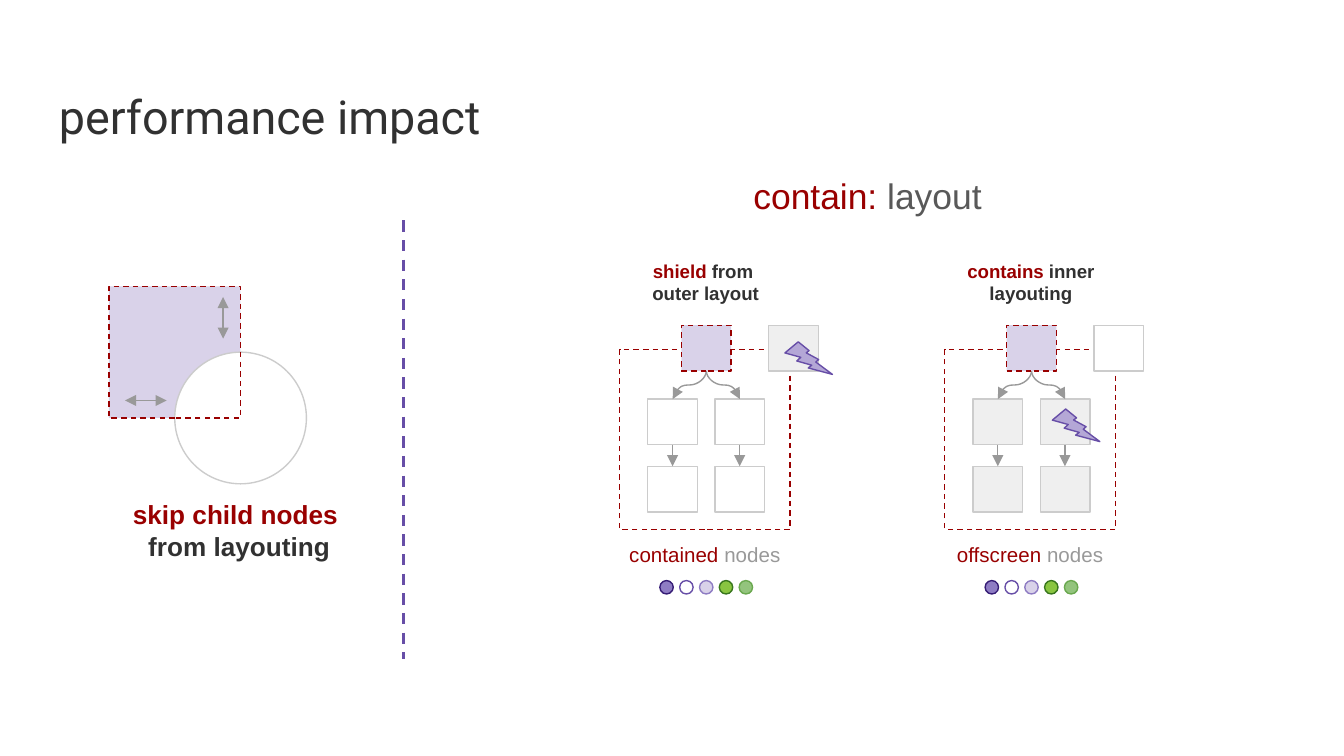
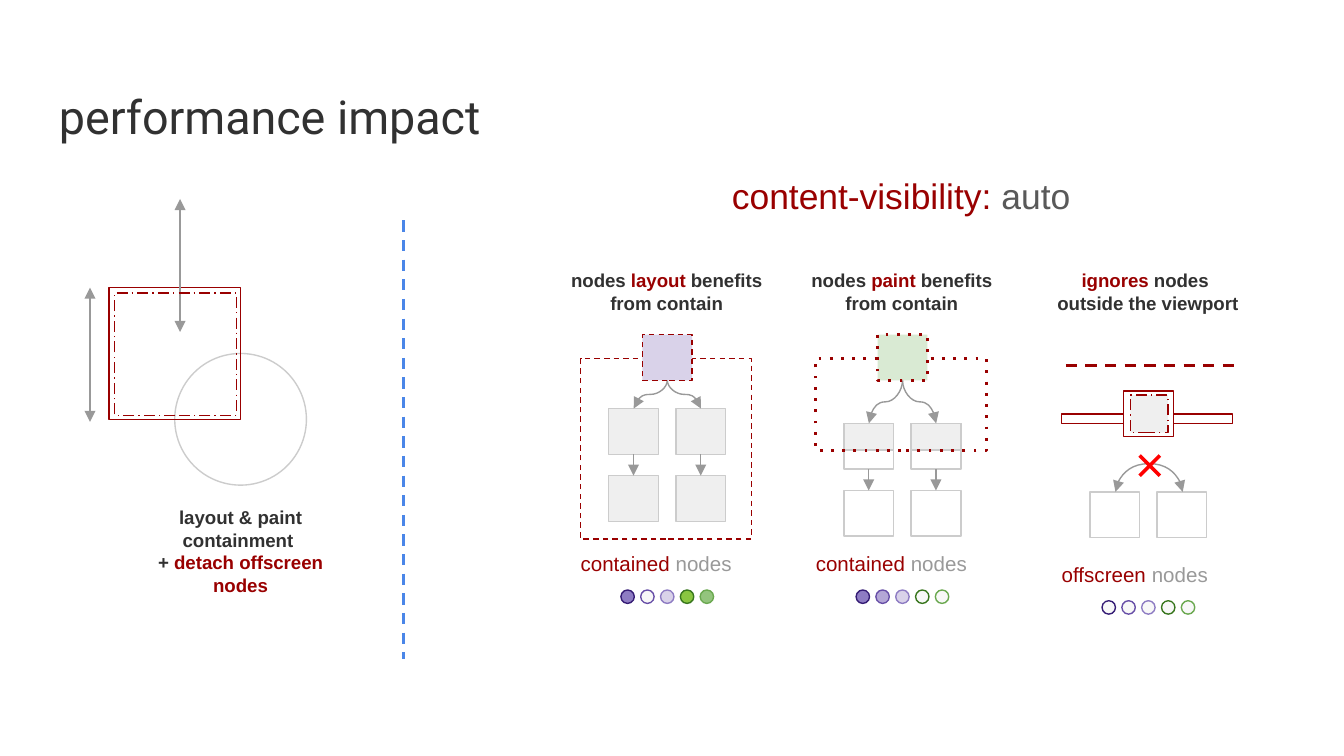
"""Two slides on the performance impact of CSS containment."""
from lxml import etree
from pptx import Presentation
from pptx import util as u
from pptx.dml.color import RGBColor
from pptx.enum import shapes, text
from pptx.oxml.ns import qn

INK = RGBColor(0x31, 0x31, 0x31)
RED = RGBColor(0x99, 0x00, 0x00)
CROSS = RGBColor(0xFF, 0x00, 0x00)
GREY = RGBColor(0x99, 0x99, 0x99)
DARK = RGBColor(0x59, 0x59, 0x59)
EDGE = RGBColor(0xCC, 0xCC, 0xCC)
SHADE = RGBColor(0xEF, 0xEF, 0xEF)
PALE = RGBColor(0xF8, 0xF8, 0xF8)
WHITE = RGBColor(0xFF, 0xFF, 0xFF)
LILAC = RGBColor(0xD9, 0xD2, 0xE9)
MAUVE = RGBColor(0xB4, 0xA7, 0xD6)
VIOLET = RGBColor(0x8E, 0x7C, 0xC3)
PURPLE = RGBColor(0x67, 0x4E, 0xA7)
INDIGO = RGBColor(0x35, 0x1C, 0x75)
BLUE = RGBColor(0x4A, 0x86, 0xE8)
MINT = RGBColor(0xD9, 0xEA, 0xD3)
LIME = RGBColor(0x89, 0xC5, 0x40)
LEAF = RGBColor(0x93, 0xC4, 0x7D)
GREEN = RGBColor(0x6A, 0xA8, 0x4F)
FOREST = RGBColor(0x38, 0x76, 0x1D)

SLIDE_W = 10
SLIDE_H = SLIDE_W * 9 / 16
TITLE = "performance impact"
DOTS = [(VIOLET, INDIGO), (MAUVE, PURPLE), (LILAC, VIOLET), (LIME, FOREST), (LEAF, GREEN)]
DOT, DOT_STEP = 0.1, 0.59 / 4
NODE_W, NODE_H = 0.37, 0.34
FRAME_W, FRAME_H = 1.27, 1.34
NODE_COLS = (0.21, 0.71)
ROOT_COL, ROOT_ROW, SIBLING_COL = 0.46, -0.18, 1.11
ROW_STEP = 0.5
SQUARE = 0.98

LAYOUT_TREES = [
    dict(x=4.61, head=[[("shield ", RED), ("from \nouter layout", INK)]],
         label="contained", nodes=WHITE, sibling=SHADE, bolt=(1.25, -0.07)),
    dict(x=7.03, head=[[("contains ", RED), ("inner layouting", INK)]],
         label="offscreen", nodes=SHADE, sibling=WHITE, bolt=(0.82, 0.43)),
]
AUTO_COLUMNS = [
    dict(x=4.32, label="contained", dots="10111",
         head=[[("nodes ", INK), ("layout ", RED), ("benefits", INK)], [("from contain", INK)]]),
    dict(x=6.07, label="contained", dots="11100",
         head=[[("nodes ", INK), ("paint ", RED), ("benefits", INK)], [("from contain", INK)]]),
    dict(x=7.9, label="offscreen", dots="00000", drop=0.08,
         head=[[("ignores ", RED), ("nodes ", INK)], [("outside the viewport", INK)]]),
]


def style_line(sp, color, width=0.75, dash=None, ends=()):
    sp.line.color.rgb = color
    sp.line.width = u.Pt(width)
    ln = sp._element.spPr.find(qn("a:ln"))
    if dash:
        etree.SubElement(ln, qn("a:prstDash"), val=dash)
    for end in ends:
        etree.SubElement(ln, qn(f"a:{end}End"), type="triangle")


def add_box(s, x, y, w, h, fill=None, line=None, kind="RECTANGLE", rot=0, **stroke):
    sp = s.shapes.add_shape(getattr(shapes.MSO_SHAPE, kind), *map(u.Inches, (x, y, w, h)))
    sp.shadow.inherit = False
    sp.rotation = rot
    if fill is None:
        sp.fill.background()
    else:
        sp.fill.solid()
        sp.fill.fore_color.rgb = fill
    if line is None:
        sp.line.fill.background()
    else:
        style_line(sp, line, **stroke)
    return sp


def add_line(s, x1, y1, x2, y2, color=GREY, kind="STRAIGHT", **stroke):
    c = s.shapes.add_connector(getattr(shapes.MSO_CONNECTOR, kind), *map(u.Inches, (x1, y1, x2, y2)))
    style_line(c, color, **stroke)
    etree.SubElement(c._element.spPr, qn("a:effectLst"))
    return c


def add_down_curve(s, x1, y1, x2, y2):
    cx, cy = (x1 + x2) / 2, (y1 + y2) / 2
    half_w, half_h = (y2 - y1) / 2, abs(x2 - x1) / 2
    left = x2 < x1
    if not left:
        half_w = -half_w
    c = add_line(s, cx - half_w, cy - half_h, cx + half_w, cy + half_h, kind="CURVE", ends=["tail"])
    c._element.spPr.find(qn("a:xfrm")).set("rot", str((90 if left else 270) * 60000))


def add_text(s, x, y, w, h, paras, size, font="Arial", bold=False, center=True, inset=0):
    tf = s.shapes.add_textbox(*map(u.Inches, (x, y, w, h))).text_frame
    tf.word_wrap = True
    tf.margin_left = tf.margin_right = tf.margin_top = tf.margin_bottom = u.Inches(inset)
    tf.vertical_anchor = text.MSO_ANCHOR.TOP if inset else text.MSO_ANCHOR.MIDDLE
    for i, runs in enumerate(paras):
        p = tf.add_paragraph() if i else tf.paragraphs[0]
        p.alignment = text.PP_ALIGN.CENTER if center else text.PP_ALIGN.LEFT
        if inset:
            p.line_spacing, p.space_after = 1.15, u.Pt(12)
        for words, color in runs:
            for j, part in enumerate(words.split("\n")):
                if j:
                    p.add_line_break()
                if not part:
                    continue
                r = p.add_run()
                r.text = part
                r.font.name, r.font.size, r.font.bold = font, u.Pt(size), bold
                r.font.color.rgb = color


def add_base(prs, prop, value, prop_x, rule_color):
    s = prs.slides.add_slide(prs.slide_layouts[6])
    add_text(s, 0.34, 0.49, 4, 0.63, [[(TITLE, INK)]], 25, "Roboto", center=False, inset=0.1)
    add_text(s, prop_x, 1.15, 4.85, 0.68, [[(prop, RED), (value, DARK)]], 19, inset=0.1)
    add_line(s, 3, 1.64, 3, 4.9, rule_color, width=1.5, dash="dash")
    return s


def add_captions(s, y, x, head, label, dots, empty, center, drop=0):
    add_text(s, x - 0.09, y - 0.63, 1.46, 0.26, head, 10, bold=True)
    add_text(s, x, y + 1.41 + drop, FRAME_W, 0.23, [[(label, RED), (" nodes", GREY)]], 11, center=center)
    for i, (on, (fill, line)) in enumerate(zip(dots, DOTS)):
        add_box(s, x + 0.3 + i * DOT_STEP, y + 1.72 + drop, DOT, DOT,
                fill if on == "1" else empty, line, "OVAL")


def add_tree(s, x, y, nodes, root=LILAC, first_row=0.37, frame_h=FRAME_H, cut=False):
    stroke = dict(width=1.5, dash="dot") if cut else dict(dash="dash")
    if not cut:
        add_box(s, x, y, FRAME_W, frame_h, line=RED, **stroke)
    top, stem = y + first_row, x + ROOT_COL + NODE_W / 2
    for col in NODE_COLS:
        mid = x + col + NODE_W / 2
        for row in (top, top + ROW_STEP):
            add_box(s, x + col, row, NODE_W, NODE_H, nodes, EDGE)
        if cut:
            add_box(s, x + col, top, NODE_W, y + frame_h - top, SHADE, EDGE)
        add_down_curve(s, stem, y + ROOT_ROW + NODE_H, mid, top)
        add_down_curve(s, mid, top + NODE_H, mid, top + ROW_STEP)
    if cut:
        add_box(s, x, y, FRAME_W, frame_h, line=RED, **stroke)
    add_box(s, x + ROOT_COL, y + ROOT_ROW, NODE_W, NODE_H, root, RED, **stroke)


def add_ignored(s, x, y):
    add_line(s, x + 0.03, y + 0.05, x + 1.31, y + 0.05, RED, width=1.5, dash="dash")
    add_box(s, x, y + 0.41, FRAME_W, 0.07, line=RED)
    add_box(s, x + ROOT_COL, y + 0.24, NODE_W, NODE_H, WHITE, RED)
    add_box(s, x + 0.51, y + 0.27, 0.28, 0.28, SHADE, RED, dash="lgDashDot")
    for col in NODE_COLS:
        add_box(s, x + col, y + 0.99, NODE_W, NODE_H, line=EDGE)
        c = add_line(s, x + 0.65, y + 0.78, x + col + 0.19, y + 0.99, kind="CURVE", ends=["tail"])
        c._element.spPr.find(qn("a:prstGeom")).set("prst", "curvedConnector2")
    cross = add_box(s, x + 0.51, y + 0.65, 0.29, 0.29, CROSS, kind="MATH_PLUS", rot=45)
    cross.adjustments[0] = 0.09


def build_layout(prs):
    s = add_base(prs, "contain: ", "layout", 4.03, PURPLE)
    g = s.shapes.add_group_shape()
    x, y, both = 0.81, 2.13, ["head", "tail"]
    add_box(g, x, y, SQUARE, SQUARE, LILAC)
    add_box(g, x + SQUARE / 2, y + SQUARE / 2, SQUARE, SQUARE, WHITE, EDGE, "OVAL")
    add_box(g, x, y, SQUARE, SQUARE, line=RED, dash="dash")
    add_line(g, 0.93, 2.98, 1.24, 2.98, ends=both)
    add_line(g, 1.66, 2.21, 1.66, 2.52, ends=both)
    add_text(s, 0.66, 3.74, 2.24, 0.41,
             [[("skip child nodes \n", RED), ("from layouting", INK)]], 14, bold=True)
    top = 2.6
    for t in LAYOUT_TREES:
        add_tree(s, t["x"], top, t["nodes"])
        add_captions(s, top, t["x"], t["head"], t["label"], "10111", WHITE, True)
        add_box(s, t["x"] + SIBLING_COL, top + ROOT_ROW, NODE_W, NODE_H, t["sibling"], EDGE)
        dx, dy = t["bolt"]
        add_box(s, t["x"] + dx, top + dy, 0.3, 0.3, MAUVE, PURPLE, "LIGHTNING_BOLT", 345)


def build_auto(prs):
    s = add_base(prs, "content-visibility: ", "auto", 4.28, BLUE)
    g = s.shapes.add_group_shape()
    x, y, both = 0.81, 2.14, ["head", "tail"]
    add_box(g, x + SQUARE / 2, y + SQUARE / 2, SQUARE, SQUARE, WHITE, EDGE, "OVAL")
    add_box(g, x, y, SQUARE, SQUARE, line=RED)
    add_line(g, 0.67, 2.14, 0.67, 3.14, ends=both)
    add_line(g, 1.34, 1.48, 1.34, 2.47, ends=both)
    add_box(g, x + 0.04, y + 0.04, 0.91, 0.91, line=RED, dash="lgDashDot")
    add_text(s, 1.06, 3.97, 1.46, 0.26,
             [[("layout & paint containment \n+ ", INK), ("detach offscreen nodes", RED)]], 10, bold=True)
    top = 2.67
    contained, painted, ignored = (c["x"] for c in AUTO_COLUMNS)
    add_tree(s, contained, top, SHADE)
    add_tree(s, painted, top, None, MINT, first_row=0.48, frame_h=0.68, cut=True)
    add_ignored(s, ignored, top)
    for c in AUTO_COLUMNS:
        add_captions(s, top, empty=PALE, center=False, **c)


def main():
    prs = Presentation()
    prs.slide_width, prs.slide_height = u.Inches(SLIDE_W), u.Inches(SLIDE_H)
    build_layout(prs)
    build_auto(prs)
    prs.save("out.pptx")


if __name__ == "__main__":
    main()
